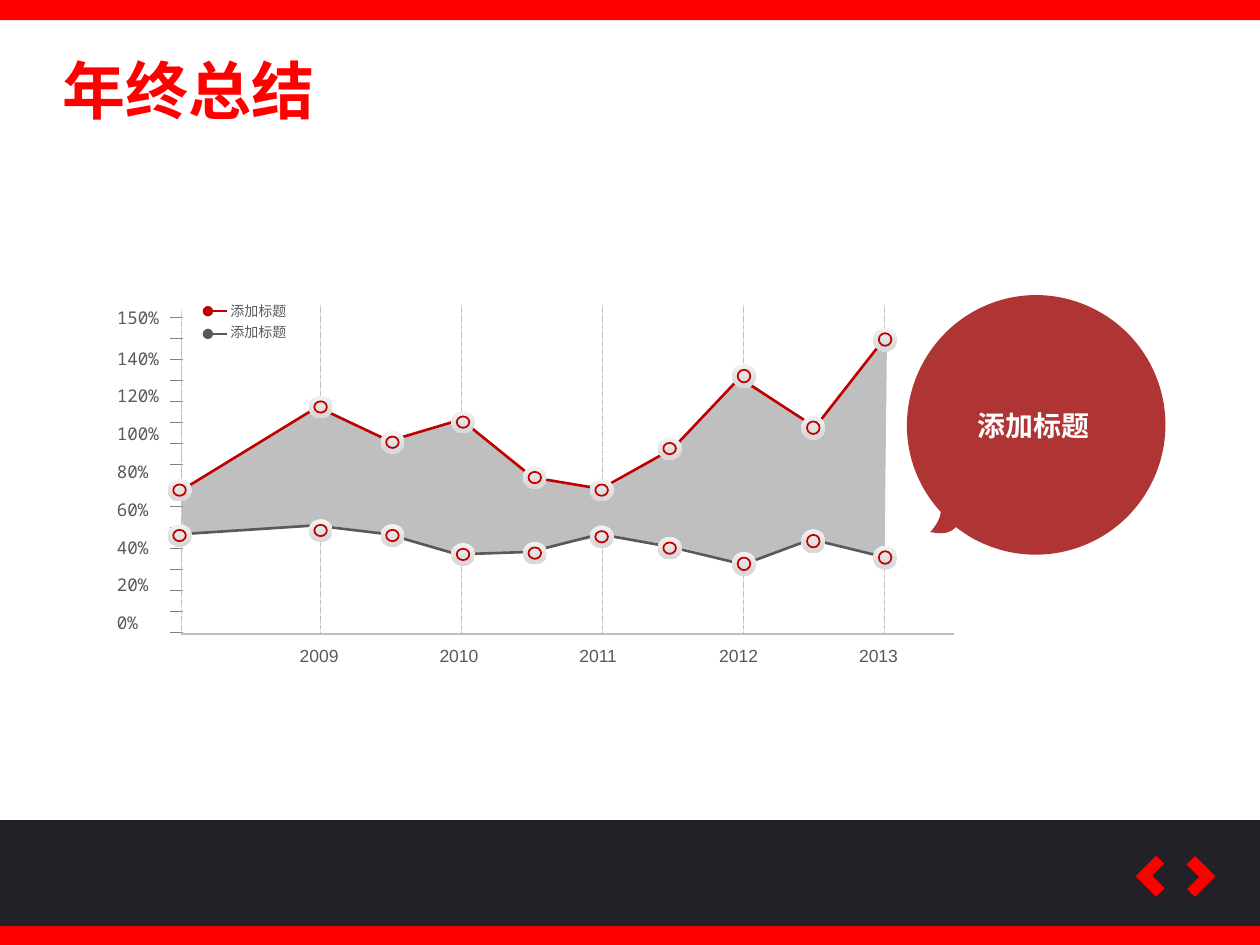
from dataclasses import dataclass

from lxml.etree import SubElement as Sub
from pptx import Presentation
from pptx.dml.color import RGBColor as Color
from pptx.enum.dml import MSO_LINE as Dash
from pptx.enum.shapes import MSO_CONNECTOR as Link, MSO_SHAPE as Kind
from pptx.enum.text import MSO_AUTO_SIZE as Fit, PP_ALIGN as Align
from pptx.oxml.ns import qn
from pptx.util import Inches, Pt


@dataclass(frozen=True)
class Theme:
    red: str = "FF0000"
    dark: str = "222127"
    wine: str = "C00000"
    bubble: str = "AF3534"
    text: str = "595959"
    tick: str = "808080"
    pale: str = "BFBFBF"
    light: str = "F2F2F2"
    shade: str = "D9D9D9"
    white: str = "FFFFFF"
    sans: str = "Noto Sans CJK SC"
    mono: str = "Noto Sans Mono"
    latin: str = "Arial"
    head: int = 36
    call: int = 16
    label: int = 10
    key: int = 8


T = Theme()
LABEL = "添加标题"
BASE = 5.03
AXIS = 1.44

AREA = [(1.45, 4.25), (1.44, 3.88), (2.52, 3.23), (3.08, 3.51), (3.66, 3.33),
        (4.2, 3.77), (4.79, 3.89), (5.32, 3.57), (5.88, 2.98), (6.45, 3.4),
        (7.04, 2.68), (7.02, 4.42), (6.45, 4.28), (5.91, 4.48), (5.31, 4.32),
        (4.78, 4.26), (4.2, 4.37), (3.65, 4.4), (3.09, 4.24), (2.54, 4.16)]
UPPER = [(1.41, 3.91), (2.52, 3.23), (3.09, 3.5), (3.66, 3.33), (4.23, 3.79),
         (4.77, 3.88), (5.34, 3.56), (5.87, 3), (6.47, 3.39), (7.01, 2.7)]
LOWER = [(1.43, 4.24), (2.5, 4.17), (3.08, 4.24), (3.63, 4.4), (4.21, 4.38),
         (4.76, 4.24), (5.32, 4.34), (5.9, 4.48), (6.44, 4.28), (6.97, 4.41)]
BUBBLE = [(8.2, 2.34), (8.77, 2.34), (9.23, 2.8), (9.23, 3.37),
          (9.23, 3.94), (8.77, 4.4), (8.2, 4.4),
          (8.12, 4.4), (8.04, 4.39), (7.96, 4.37),
          (7.93, 4.45), (7.87, 4.47), (7.79, 4.49),
          (7.81, 4.43), (7.82, 4.37), (7.8, 4.31),
          (7.42, 4.15), (7.18, 3.78), (7.18, 3.37),
          (7.18, 2.8), (7.63, 2.34), (8.2, 2.34)]
DOTS_X = [1.33, 2.45, 3.02, 3.58, 4.15, 4.68, 5.22, 5.81, 6.36, 6.93]
DOTS_TOP = [3.8, 3.14, 3.42, 3.26, 3.7, 3.8, 3.47, 2.89, 3.3, 2.6]
DOTS_LOW = [4.16, 4.12, 4.16, 4.31, 4.3, 4.17, 4.26, 4.38, 4.2, 4.33]


def rgb(tone):
    return Color.from_string(tone)


def paint(shape, fill=None, line=None, width=1):
    shape.shadow.inherit = False
    if fill:
        shape.fill.solid()
        shape.fill.fore_color.rgb = rgb(fill)
    else:
        shape.fill.background()
    if line:
        shape.line.color.rgb = rgb(line)
        shape.line.width = Pt(width)
    else:
        shape.line.fill.background()


def add_form(slide, kind, box, fill=None, line=None):
    shape = slide.shapes.add_shape(kind, *map(Inches, box))
    paint(shape, fill, line)
    return shape


def add_path(slide, points, close=False, **style):
    spots = [(Inches(x), Inches(y)) for x, y in points]
    path = slide.shapes.build_freeform(*spots[0])
    path.add_line_segments(spots[1:], close=close)
    shape = path.convert_to_shape()
    paint(shape, **style)
    return shape


def bend(shape):
    legs = list(shape._element.iter(qn("a:lnTo")))
    for i in range(0, len(legs), 3):
        first, *rest = legs[i:i + 3]
        first.tag = qn("a:cubicBezTo")
        for leg in rest:
            first.append(leg[0])
            leg.getparent().remove(leg)


def add_line(slide, start, end, tone, width, dash=None, oval=False):
    line = slide.shapes.add_connector(Link.STRAIGHT, *map(Inches, start + end))
    line.line.color.rgb = rgb(tone)
    line.line.width = Pt(width)
    if dash:
        line.line.dash_style = dash
    props = line._element.spPr
    if oval:
        Sub(props.find(qn("a:ln")), qn("a:headEnd"), type="oval")
    Sub(props, qn("a:effectLst"))


def add_text(slide, box, text, size, face, tone, bold=False, wrap=False):
    frame = slide.shapes.add_textbox(*map(Inches, box)).text_frame
    frame.word_wrap = wrap
    frame.auto_size = Fit.SHAPE_TO_FIT_TEXT
    para = frame.paragraphs[0]
    para.text = text
    para.alignment = Align.CENTER if wrap else Align.LEFT
    font = para.font
    font.size = Pt(size)
    font.bold = bold
    font.color.rgb = rgb(tone)
    font.name = face
    Sub(font._rPr, qn("a:ea"), typeface=face)


def add_dots(slide, tops, order):
    for i in order:
        x, y = DOTS_X[i], tops[i]
        high = 0.19 if x > 5.5 else 0.18
        halo = add_form(slide, Kind.OVAL, (x, y, 0.19, high))
        halo.fill.gradient()
        halo.fill.gradient_angle = 270
        stops = zip(halo.fill.gradient_stops, (0.02, 0.82), (T.light, T.shade))
        for stop, place, tone in stops:
            stop.position = place
            stop.color.rgb = rgb(tone)
        ring = (x + 0.045, y + 0.045, 0.1, high - 0.09)
        add_form(slide, Kind.OVAL, ring, line=T.wine)


def add_frame(slide):
    for top, high, tone in ((7.34, 0.16, T.red), (6.51, 0.84, T.dark)):
        add_form(slide, Kind.RECTANGLE, (0, top, 10, high), tone)
    for left, turn in ((9.06, 45), (9.37, 225)):
        mark = add_form(slide, Kind.CORNER, (left, 6.84, 0.23, 0.23), T.red)
        mark.adjustments[0] = 0.415
        mark.adjustments[1] = 0.386
        mark.rotation = turn
    add_form(slide, Kind.RECTANGLE, (0, 0, 10, 0.16), T.red)
    add_text(slide, (0.4, 0.36, 2.22, 0.71), "年终总结",
             T.head, T.sans, T.red, bold=True)


def add_axes(slide):
    add_line(slide, (AXIS, BASE), (7.57, BASE), T.pale, 1)
    for i in reversed(range(5)):
        add_text(slide, (2.28 + 1.11 * i, 5.07, 0.51, 0.27), str(2009 + i),
                 T.label, T.latin, T.text)
    for i in range(16):
        y = 5.02 - i / 6
        add_line(slide, (1.45, y), (1.35, y), T.tick, 0.5)
    add_line(slide, (AXIS, 2.69), (AXIS, BASE), T.pale, 0.25, Dash.SQUARE_DOT)
    tops = [4.81 - 0.3 * i for i in range(8)] + [2.39]
    for top, mark in zip(tops, (0, 20, 40, 60, 80, 100, 120, 140, 150)):
        text = f"{mark}%"
        add_text(slide, (0.83, top, 0.24 + 0.08 * len(text), 0.27), text,
                 T.label, T.mono, T.text)
    add_line(slide, (AXIS, 2.46), (AXIS, 4.7), T.pale, 0.25, Dash.SQUARE_DOT)


def add_plot(slide):
    for i in range(5):
        x = 2.54 + 1.12 * i
        add_line(slide, (x, 2.42), (x, BASE), T.pale, 0.25, Dash.SQUARE_DOT)
    add_path(slide, AREA, close=True, fill=T.pale)
    for points, tone in ((UPPER, T.wine), (LOWER, T.text)):
        add_path(slide, points, line=tone, width=1.5)


def add_key(slide):
    for y, top, tone in ((2.47, 2.35, T.wine), (2.65, 2.52, T.text)):
        add_line(slide, (1.65, y), (1.8, y), tone, 1.5, oval=True)
        add_text(slide, (1.73, top, 0.65, 0.24), LABEL, T.key, T.sans, T.text)


def add_bubble(slide):
    shape = add_path(slide, BUBBLE, close=True, fill=T.bubble)
    bend(shape)
    shape.rotation = 24.4
    add_text(slide, (7.55, 3.19, 1.31, 0.37), LABEL,
             T.call, T.sans, T.white, bold=True, wrap=True)


def main():
    deck = Presentation()
    deck.slide_width = Inches(10)
    deck.slide_height = Inches(7.5)
    slide = deck.slides.add_slide(deck.slide_layouts[6])
    add_frame(slide)
    add_plot(slide)
    add_dots(slide, DOTS_TOP, (6, 7, 8))
    add_axes(slide)
    add_bubble(slide)
    add_key(slide)
    add_dots(slide, DOTS_TOP, (9, 5, 4, 3, 2, 1, 0))
    add_dots(slide, DOTS_LOW, (6, 7, 8, 9, 5, 4, 3, 2, 1, 0))
    deck.save("out.pptx")


if __name__ == "__main__":
    main()
